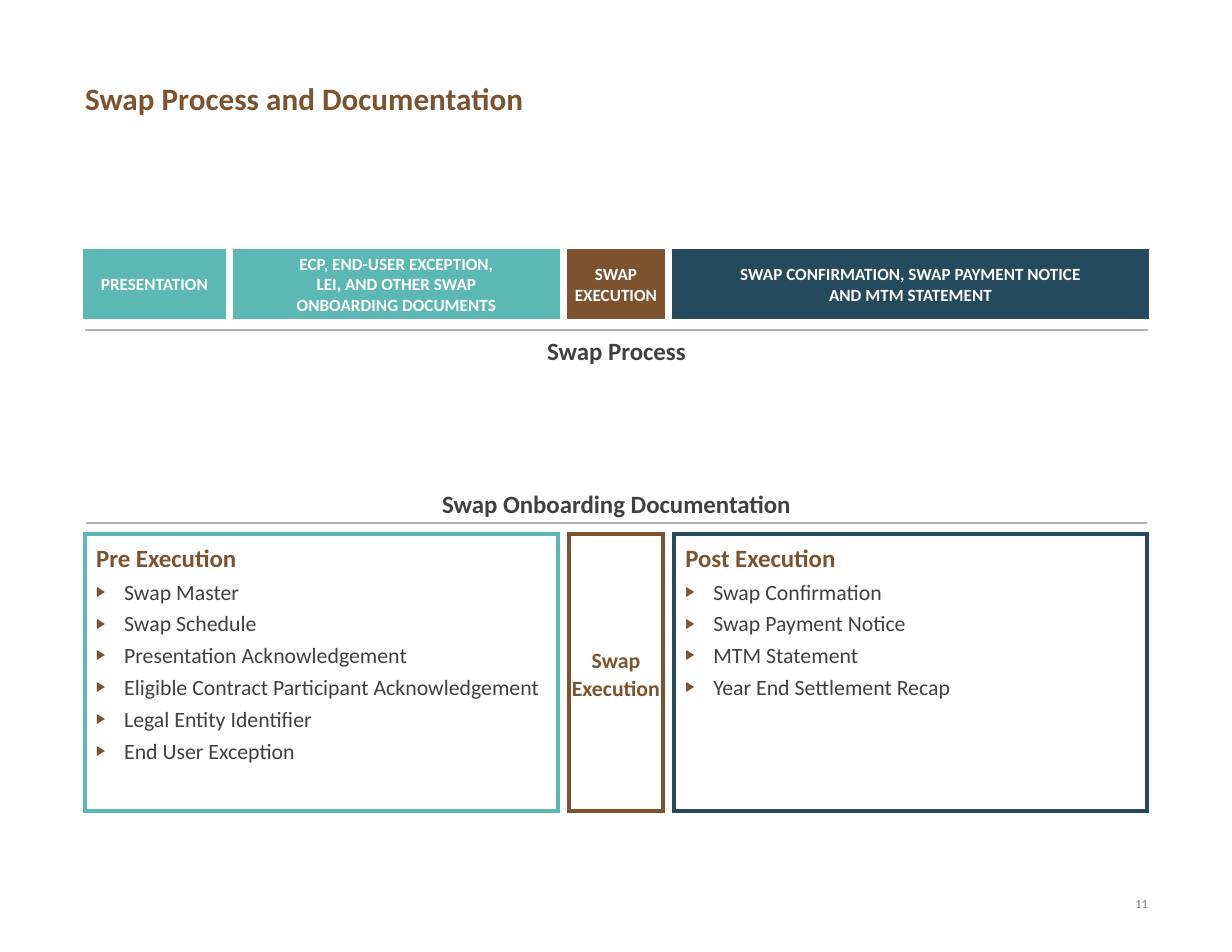
import pptx
import pptx.util
import pptx.dml.color
import pptx.enum.shapes
import pptx.enum.text
import pptx.oxml
import pptx.oxml.ns
from pptx.util import Inches, Pt

COLORS = {"teal": "5CB8B2", "brown": "7D532F", "navy": "254A5D",
          "text": "404040", "gray": "7F7F7F", "rule": "B1B3B3", "white": "FFFFFF"}
FONT = "Calibri"
ALIGN = pptx.enum.text.PP_ALIGN
ANCHOR = pptx.enum.text.MSO_ANCHOR
NS = pptx.oxml.ns.nsdecls("a")

TITLE = "Swap Process and Documentation"
PAGE_NUMBER = "11"
# (lines, width, color)
STEPS = [
    (["PRESENTATION"], 1.24, "teal"),
    (["ECP, END-USER EXCEPTION,", "LEI, AND OTHER SWAP", "ONBOARDING DOCUMENTS"], 2.88, "teal"),
    (["SWAP", "EXECUTION"], 0.84, "brown"),
    (["SWAP CONFIRMATION, SWAP PAYMENT NOTICE", "AND MTM STATEMENT"], 4.22, "navy"),
]
# (heading, documents, width, color)
PHASES = [
    ("Pre Execution",
     ["Swap Master", "Swap Schedule", "Presentation Acknowledgement",
      "Eligible Contract Participant Acknowledgement", "Legal Entity Identifier",
      "End User Exception"], 4.22, "teal"),
    ("Swap Execution", [], 0.84, "brown"),
    ("Post Execution",
     ["Swap Confirmation", "Swap Payment Notice", "MTM Statement",
      "Year End Settlement Recap"], 4.22, "navy"),
]
# (text, left, top, width, ruled side, space before)
BANDS = [
    ("Swap Onboarding Documentation", 0.76, 4.32, 9.49, "b", 10),
    ("Swap Process", 0.75, 2.95, 9.51, "t", 0),
]
LEFT, GAP = 0.76, 0.1
STEP_TOP, STEP_HEIGHT = 2.24, 0.59
PHASE_TOP, PHASE_HEIGHT = 4.77, 2.47


def rgb(name):
    return pptx.dml.color.RGBColor.from_string(COLORS[name])


def add_run(paragraph, text, size, color, bold=False):
    run = paragraph.add_run()
    run.text = text
    run.font.name, run.font.size, run.font.bold = FONT, Pt(size), bold
    run.font.color.rgb = rgb(color)


def set_frame(frame, anchor, margins, wrap=True):
    frame.word_wrap, frame.vertical_anchor = wrap, anchor
    frame.margin_left = frame.margin_right = Inches(margins[0])
    frame.margin_top = frame.margin_bottom = Inches(margins[1])


def add_text(slide, text, box, size, color, bold, align):
    frame = slide.shapes.add_textbox(*map(Inches, box)).text_frame
    set_frame(frame, ANCHOR.TOP, (0, 0))
    paragraph = frame.paragraphs[0]
    paragraph.alignment = align
    add_run(paragraph, text, size, color, bold)
    return paragraph


def add_box(slide, left, top, width, height, color, filled):
    """Square-cornered rectangle; returns its text frame."""
    box = slide.shapes.add_shape(pptx.enum.shapes.MSO_SHAPE.RECTANGLE,
                                 *map(Inches, (left, top, width, height)))
    box.shadow.inherit = False
    if filled:
        box.fill.solid()
        box.fill.fore_color.rgb = rgb(color)
    else:
        box.fill.background()
    box.line.color.rgb = rgb(color)
    box.line.width = Pt(2.75)
    outline = box._element.spPr.find(pptx.oxml.ns.qn("a:ln"))
    outline.append(pptx.oxml.parse_xml(f'<a:miter {NS} lim="800000"/>'))
    return box.text_frame


def add_bullet(paragraph):
    properties = paragraph._p.get_or_add_pPr()
    properties.set("marL", str(Inches(0.25)))
    properties.set("indent", str(-Inches(0.25)))
    for xml in (f'<a:buClr {NS}><a:srgbClr val="{COLORS["brown"]}"/></a:buClr>',
                f'<a:buSzPct {NS} val="65000"/>',
                f'<a:buFont {NS} typeface="Arial"/>',
                f'<a:buChar {NS} char="▶"/>'):
        properties.append(pptx.oxml.parse_xml(xml))


def add_step(slide, left, lines, width, color):
    frame = add_box(slide, left, STEP_TOP, width, STEP_HEIGHT, color, True)
    set_frame(frame, ANCHOR.MIDDLE, (0.02, 0.02), wrap=False)
    paragraph = frame.paragraphs[0]
    paragraph.alignment = ALIGN.CENTER
    for index, line in enumerate(lines):
        if index:
            paragraph.add_line_break()
        add_run(paragraph, line, 11, "white", True)


def add_phase(slide, left, heading, documents, width, color):
    frame = add_box(slide, left, PHASE_TOP, width, PHASE_HEIGHT, color, False)
    paragraph = frame.paragraphs[0]
    paragraph.line_spacing, paragraph.space_before = 1.1, Pt(10)
    if documents:
        set_frame(frame, ANCHOR.TOP, (0.1, 0.05))
        paragraph.alignment = ALIGN.LEFT
    else:
        set_frame(frame, ANCHOR.MIDDLE, (0, 0.05))
        paragraph.alignment = ALIGN.CENTER
    add_run(paragraph, heading, 16 if documents else 14, "brown", True)
    for document in documents:
        item = frame.add_paragraph()
        item.level, item.alignment = 1, ALIGN.LEFT
        item.line_spacing, item.space_before = 1.1, Pt(2)
        add_bullet(item)
        add_run(item, document, 14, "text")


def add_band(slide, text, left, top, width, side, space_before):
    """One-cell table with a rule along its top or bottom."""
    table = slide.shapes.add_table(1, 1, *map(Inches, (left, top, width, 0.35))).table
    table.first_row = table.horz_banding = False
    cell = table.cell(0, 0)
    cell.margin_left = cell.margin_right = 0
    cell.margin_top = cell.margin_bottom = Inches(0.03)
    cell.vertical_anchor = ANCHOR.MIDDLE
    paragraph = cell.text_frame.paragraphs[0]
    paragraph.alignment, paragraph.line_spacing = ALIGN.CENTER, 1.1
    paragraph.space_before = Pt(space_before)
    add_run(paragraph, text, 16, "text", True)
    tag = "ln" + side.upper()
    cell._tc.get_or_add_tcPr().append(pptx.oxml.parse_xml(
        f'<a:{tag} {NS} w="{Pt(1.5)}"><a:solidFill>'
        f'<a:srgbClr val="{COLORS["rule"]}"/></a:solidFill></a:{tag}>'))
    cell.fill.background()


def add_row(slide, entries, add_entry):
    """Place entries left to right; the width is second to last in each."""
    left = LEFT
    for entry in entries:
        add_entry(slide, left, *entry)
        left += entry[-2] + GAP


def main():
    presentation = pptx.Presentation()
    presentation.slide_width, presentation.slide_height = Inches(11), Inches(8.5)
    slide = presentation.slides.add_slide(presentation.slide_layouts[6])
    title = add_text(slide, TITLE, (0.76, 0.75, 9.49, 0.75), 20, "brown", True, ALIGN.LEFT)
    title.line_spacing = 0.9
    add_text(slide, PAGE_NUMBER, (9.9, 8, 0.35, 0.25), 8, "gray", False, ALIGN.RIGHT)
    add_row(slide, PHASES, add_phase)
    add_row(slide, STEPS, add_step)
    for band in BANDS:
        add_band(slide, *band)
    presentation.save("out.pptx")


if __name__ == "__main__":
    main()
